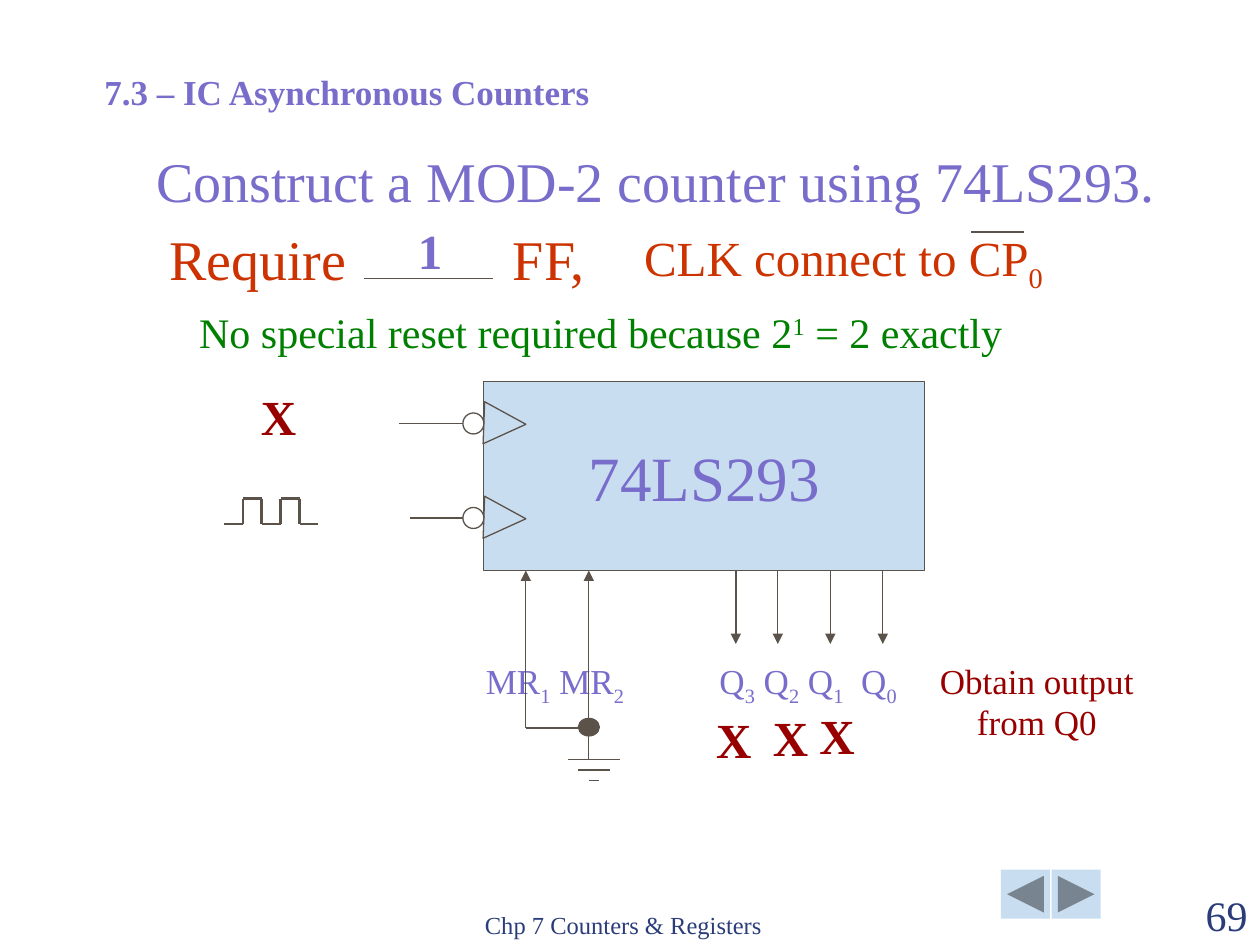
from lxml import etree
from pptx import Presentation
from pptx import util as u
from pptx.dml.color import RGBColor
from pptx.enum import shapes, text
from pptx.oxml.ns import qn

FONT = "Times New Roman"
INK, PALE, VIOLET = "5B5249", "C9DDF1", "786DCB"
NAVY, RED, GREEN, MAROON = "2A3D7A", "CC3300", "008000", "980000"
LEFT, CENTER, RIGHT = text.PP_ALIGN.LEFT, text.PP_ALIGN.CENTER, text.PP_ALIGN.RIGHT
TOP, MIDDLE, BOTTOM = (text.MSO_ANCHOR.TOP, text.MSO_ANCHOR.MIDDLE,
                       text.MSO_ANCHOR.BOTTOM)
KIND = shapes.MSO_SHAPE


def color(value):
    return RGBColor.from_string(value)


def points(*values):
    return [u.Pt(value) for value in values]


def write(frame, content, size=20, fill=VIOLET, bold=False, align=LEFT, anchor=TOP,
          inset=None, baseline=-25, tabs=(), line_spacing=None, space_before=0):
    """Write one paragraph per line; text between bars is raised or lowered."""
    frame.word_wrap = True
    frame.auto_size = text.MSO_AUTO_SIZE.NONE
    frame.vertical_anchor = anchor
    if inset is not None:
        frame.margin_left = frame.margin_right = u.Pt(inset)
        frame.margin_top = frame.margin_bottom = u.Pt(inset)
    for index, line in enumerate(content.split("\n")):
        paragraph = frame.add_paragraph() if index else frame.paragraphs[0]
        paragraph.alignment = align
        paragraph.space_before = u.Pt(space_before if index else 0)
        if line_spacing:
            paragraph.line_spacing = line_spacing
        if tabs:
            tab_list = etree.SubElement(paragraph._p.get_or_add_pPr(), qn("a:tabLst"))
            for position in tabs:
                etree.SubElement(tab_list, qn("a:tab"), pos=str(u.Pt(position)), algn="l")
        for number, part in enumerate(line.split("|")):
            if not part:
                continue
            run = paragraph.add_run()
            run.text = part
            run.font.name, run.font.size, run.font.bold = FONT, u.Pt(size), bold
            run.font.color.rgb = color(fill)
            if number % 2:
                run._r.get_or_add_rPr().set("baseline", str(baseline * 1000))


def add_label(slide, content, left, top, width, height, **style):
    box = slide.shapes.add_textbox(*points(left, top, width, height))
    write(box.text_frame, content, **style)


def add_figure(slide, kind, left, top, width, height, fill=None, line=INK):
    shape = slide.shapes.add_shape(kind, *points(left, top, width, height))
    shape.shadow.inherit = False
    if fill:
        shape.fill.solid()
        shape.fill.fore_color.rgb = color(fill)
    else:
        shape.fill.background()
    if line:
        shape.line.color.rgb = color(line)
        shape.line.width = u.Pt(0.75)
    else:
        shape.line.fill.background()
    return shape


def add_wire(slide, start, end, width=0.75, arrow=False):
    wire = slide.shapes.add_connector(shapes.MSO_CONNECTOR.STRAIGHT,
                                      *points(*start, *end))
    wire.line.color.rgb = color(INK)
    wire.line.width = u.Pt(width)
    if arrow:
        etree.SubElement(wire.line._get_or_add_ln(), qn("a:tailEnd"), type="triangle")
    etree.SubElement(wire._element.spPr, qn("a:effectLst"))


def add_headings(slide):
    title = slide.shapes.title
    title.left, title.top, title.width, title.height = points(82, 86.5, 612, 39.5)
    write(title.text_frame, "Construct a MOD-2 counter using 74LS293.",
          size=32, anchor=BOTTOM)
    add_label(slide, "7.3 – IC Asynchronous Counters", 52.5, 37, 402.5, 31, bold=True)
    add_label(slide, "Require\tFF,", 89.5, 124.5, 256, 45.5,
              size=32, fill=RED, tabs=[196.5])
    add_label(slide, "1", 231, 122.5, 29.5, 41, size=28, bold=True, align=CENTER)
    add_wire(slide, (208, 159), (282, 159))
    add_label(slide, "CLK connect to CP|0|", 361, 126.5, 258.5, 41, size=28, fill=RED)
    add_wire(slide, (555, 132.5), (585, 132.5))
    add_label(slide, "No special reset required because 2|1| = 2 exactly",
              89.5, 171.5, 507.5, 36, size=24, fill=GREEN, align=CENTER, baseline=30)


def add_chip(slide):
    chip = add_figure(slide, KIND.RECTANGLE, 276.5, 218, 252, 108, fill=PALE)
    write(chip.text_frame, "74LS293", size=36, align=CENTER, anchor=MIDDLE)
    for clock_y, wire_start in ((242, 228), (296, 234.5)):
        triangle = add_figure(slide, KIND.ISOSCELES_TRIANGLE, 276.5, clock_y - 12, 24, 24)
        triangle.rotation = 92.1
        add_figure(slide, KIND.OVAL, 264.5, clock_y - 6, 12, 12)
        add_wire(slide, (264.5, clock_y), (wire_start, clock_y))
    for output_x in (420.5, 444.5, 474.5, 504.5):
        add_wire(slide, (output_x, 326), (output_x, 368), arrow=True)
    add_label(slide, "MR|1| MR|2|\tQ|3| Q|2| Q|1|\tQ|0|", 270.5, 373.5, 259, 31,
              tabs=[133.5, 214.5])


def add_ground(slide):
    for reset_x in (300.5, 336.5):
        add_wire(slide, (reset_x, 373.5), (reset_x, 326), arrow=True)
        add_wire(slide, (reset_x, 373.5), (reset_x, 416))
    add_wire(slide, (300.5, 416), (336.5, 416))
    add_wire(slide, (336.5, 416), (336.5, 434))
    for left, right, y in ((324.5, 354.5, 434), (330.5, 348.5, 440), (336.5, 342.5, 446)):
        add_wire(slide, (left, y), (right, y))
    add_figure(slide, KIND.OVAL, 330.5, 410.5, 12, 10, fill=INK)


def add_clock_pulses(slide, left=128, low=299.5, high=285, step=10.8):
    levels = (low, high, low, high, low)
    corners = [(left + step * (index + side), level)
               for index, level in enumerate(levels) for side in (0, 1)]
    for start, end in zip(corners, corners[1:]):
        add_wire(slide, start, end, width=1.5)


def add_answers(slide):
    mark = dict(size=28, fill=MAROON, bold=True, align=CENTER)
    add_label(slide, "X", 134, 217.5, 50.5, 41, **mark)
    for left, top in ((406, 405.5), (438.5, 404), (465, 403)):
        add_label(slide, "X", left, top, 26.5, 34, inset=0, **mark)
    add_label(slide, "Obtain output\nfrom Q0", 520.5, 381.5, 144, 43, fill=MAROON,
              align=CENTER, inset=0, line_spacing=0.8, space_before=4)


def add_footer(slide):
    buttons = (KIND.ACTION_BUTTON_BACK_OR_PREVIOUS, KIND.ACTION_BUTTON_FORWARD_OR_NEXT)
    for index, kind in enumerate(buttons):
        add_figure(slide, kind, 572 + 29 * index, 497, 28, 28, fill=PALE, line=None)
    add_label(slide, "Chp 7 Counters & Registers", 270, 504.5, 228, 36,
              size=14, fill=NAVY, anchor=BOTTOM)
    add_label(slide, "69", 648, 504.5, 72, 36,
              size=24, fill=NAVY, align=RIGHT, anchor=BOTTOM)


def main():
    presentation = Presentation()
    presentation.slide_width, presentation.slide_height = points(720, 540)
    slide = presentation.slides.add_slide(presentation.slide_layouts[5])
    add_footer(slide)
    add_headings(slide)
    add_chip(slide)
    add_ground(slide)
    add_clock_pulses(slide)
    add_answers(slide)
    presentation.save("out.pptx")


if __name__ == "__main__":
    main()
